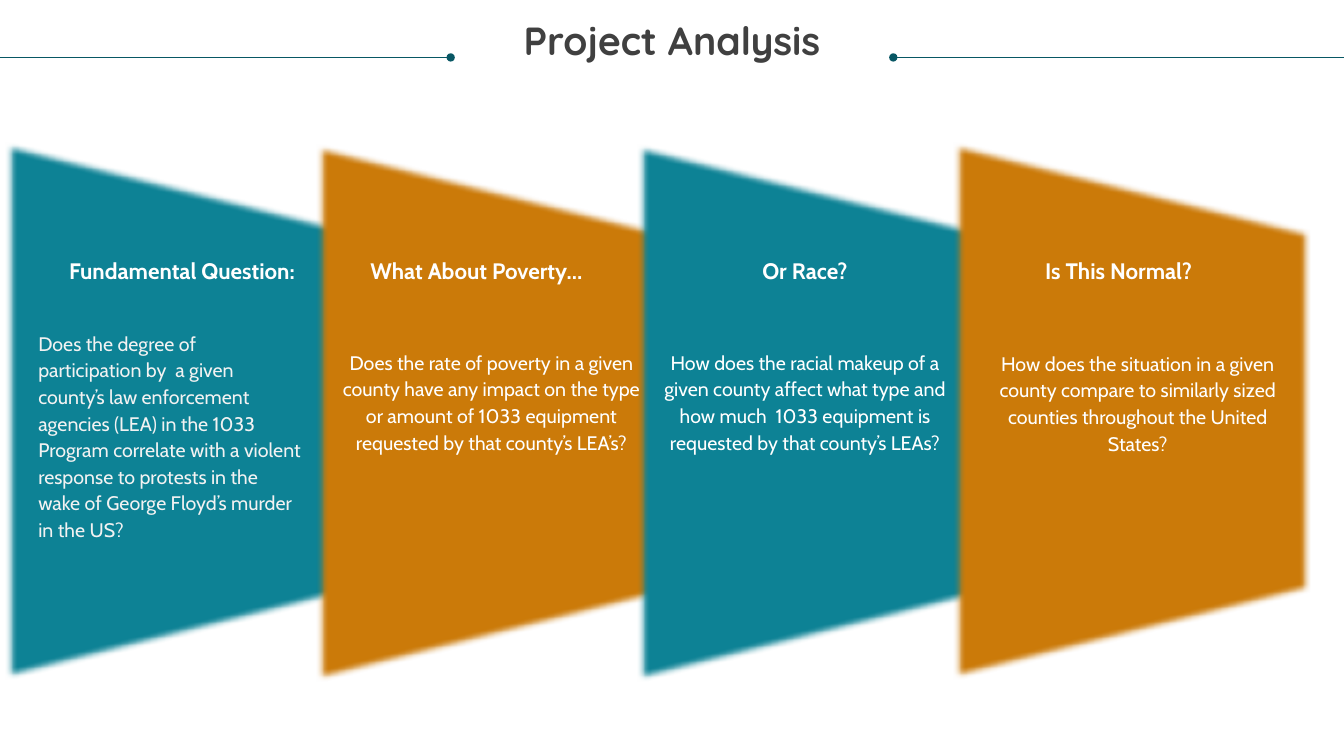
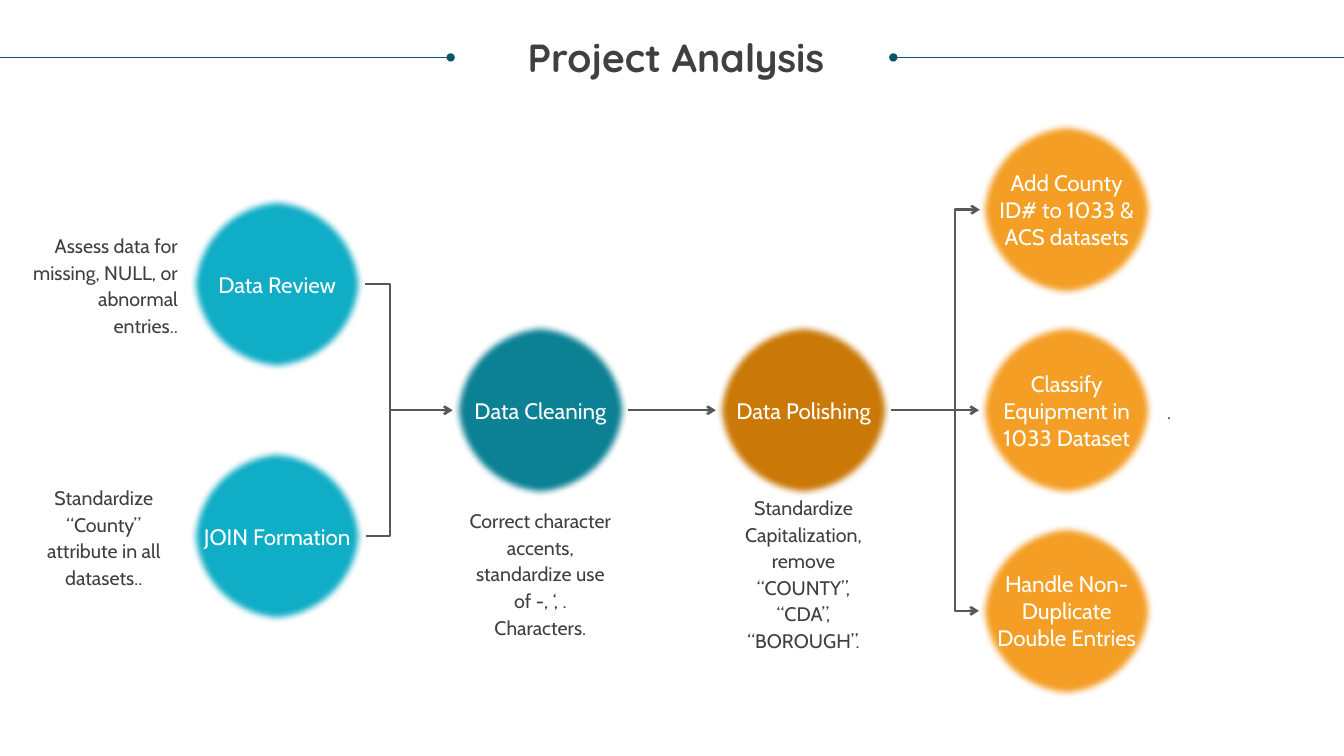
from dataclasses import dataclass

from lxml import etree
from pptx import Presentation
from pptx.dml.color import RGBColor
from pptx.enum.shapes import MSO_CONNECTOR, MSO_SHAPE
from pptx.enum.text import MSO_ANCHOR, MSO_AUTO_SIZE, PP_ALIGN
from pptx.oxml.ns import qn
from pptx.util import Inches, Pt

STRAIGHT, ELBOW = MSO_CONNECTOR.STRAIGHT, MSO_CONNECTOR.ELBOW
TRAPEZOID, OVAL = MSO_SHAPE.TRAPEZOID, MSO_SHAPE.OVAL
LEFT, CENTER, RIGHT = PP_ALIGN.LEFT, PP_ALIGN.CENTER, PP_ALIGN.RIGHT
TOP, MIDDLE = MSO_ANCHOR.TOP, MSO_ANCHOR.MIDDLE

TEAL = RGBColor(0x0D, 0x82, 0x95)
DARK_TEAL = RGBColor(0x08, 0x57, 0x64)
CYAN = RGBColor(0x11, 0xAE, 0xC7)
BROWN = RGBColor(0xCB, 0x7A, 0x09)
ORANGE = RGBColor(0xF5, 0x9F, 0x26)
GRAY = RGBColor(0x58, 0x58, 0x58)
INK = RGBColor(0x40, 0x40, 0x40)
WHITE = RGBColor(0xFF, 0xFF, 0xFF)
OFF_WHITE = RGBColor(0xF2, 0xF2, 0xF2)

TITLE_FONT, BODY_FONT = "Quicksand", "Cabin"
SLIDE_WIDTH, SLIDE_HEIGHT = 13.33, 7.5
SOFT_EDGE = Pt(5)

# Panels on the questions slide
PANEL_LENGTH, PANEL_DEPTH = 5.38, 3.54
HEADING_TOP, HEADING_WIDTH, HEADING_HEIGHT = 2.55, 2.37, 0.27

# Grid of the process slide
DIAMETER = 1.74
RADIUS = DIAMETER / 2
COLUMNS = [2.75 + 2.61 * i for i in range(4)]
MIDDLE_ROW = 4.07
SOURCE_ROWS = [MIDDLE_ROW - 1.25, MIDDLE_ROW + 1.25]
RESULT_ROWS = [MIDDLE_ROW + 1.99 * i for i in (-1, 0, 1)]
LABEL_WIDTH, LABEL_HEIGHT = 1.5, 0.81
CAPTION_WIDTH, CAPTION_HEIGHT = 1.47, 1.31
BRACKET_DEPTH, BRACKET_OFFSET = 0.25, 0.01


@dataclass
class Panel:
    left: float
    center_y: float
    color: RGBColor
    heading: str
    heading_left: float
    question: str
    question_left: float
    question_top: float
    question_width: float = 3.03
    question_height: float = 1.04
    alignment: PP_ALIGN = CENTER
    question_color: RGBColor = WHITE


@dataclass
class Step:
    center_x: float
    center_y: float
    color: RGBColor
    label: str


@dataclass
class Caption:
    center_x: float
    center_y: float
    text: str
    alignment: PP_ALIGN = CENTER


PANELS = [
    Panel(0.05, 4.07, TEAL, "Fundamental Question:", 0.62,
          "Does the degree of participation by  a given county’s law enforcement "
          "agencies (LEA) in the 1033 Program correlate with a violent response to "
          "protests in the wake of George Floyd’s murder in the US?",
          0.38, 3.26, 2.63, 2.11, LEFT, OFF_WHITE),
    Panel(3.14, 4.09, BROWN, "What About Poverty…", 3.54,
          "Does the rate of poverty in a given county have any impact on the type "
          "or amount of 1033 equipment requested by that county’s LEA’s?",
          3.36, 3.45),
    Panel(6.32, 4.09, TEAL, "Or Race?", 6.8,
          "How does the racial makeup of a given county affect what type and how "
          "much  1033 equipment is requested by that county’s LEAs?",
          6.47, 3.45),
    Panel(9.46, 4.07, BROWN, "Is This Normal?", 9.91,
          "How does the situation in a given county compare to similarly sized "
          "counties throughout the United States?",
          9.77, 3.46),
]

STEPS = [
    Step(COLUMNS[0], SOURCE_ROWS[0], CYAN, "Data Review"),
    Step(COLUMNS[0], SOURCE_ROWS[1], CYAN, "JOIN Formation"),
    Step(COLUMNS[1], MIDDLE_ROW, TEAL, "Data Cleaning"),
    Step(COLUMNS[2], MIDDLE_ROW, BROWN, "Data Polishing"),
    Step(COLUMNS[3], RESULT_ROWS[0], ORANGE, "Add County ID# to 1033 & ACS datasets"),
    Step(COLUMNS[3], RESULT_ROWS[1], ORANGE, "Classify Equipment in 1033 Dataset"),
    Step(COLUMNS[3], RESULT_ROWS[2], ORANGE, "Handle Non-Duplicate Double Entries"),
]

CAPTIONS = [
    Caption(1.03, SOURCE_ROWS[0],
            "Assess data for missing, NULL, or abnormal entries..", RIGHT),
    Caption(1.03, SOURCE_ROWS[1], "Standardize “County” attribute in all datasets.."),
    Caption(COLUMNS[1], 5.68,
            "Correct character accents, standardize use of -, ‘, . Characters."),
    Caption(COLUMNS[2], 5.68,
            "Standardize Capitalization, remove “COUNTY”, “CDA”, “BOROUGH”."),
    Caption(12.31, MIDDLE_ROW, ".", LEFT),
]


def format_text(shape, text: str, font_name: str, size: float, color: RGBColor,
                alignment=CENTER, anchor=TOP, bold=False, line_spacing=None) -> None:
    frame = shape.text_frame
    frame.word_wrap = True
    frame.auto_size = MSO_AUTO_SIZE.NONE
    frame.vertical_anchor = anchor
    frame.margin_left = frame.margin_right = frame.margin_top = frame.margin_bottom = 0
    paragraph = frame.paragraphs[0]
    paragraph.text = text
    paragraph.alignment = alignment
    paragraph.space_before = Pt(0)
    if line_spacing is not None:
        paragraph.line_spacing = line_spacing
    font = paragraph.font
    font.name, font.size, font.bold = font_name, Pt(size), bold
    font.color.rgb = color


def add_text(slide, left: float, top: float, width: float, height: float,
             text: str, size: float, color: RGBColor, **options) -> None:
    shape = slide.shapes.add_textbox(Inches(left), Inches(top),
                                     Inches(width), Inches(height))
    format_text(shape, text, BODY_FONT, size, color, **options)


def add_soft_shape(slide, kind, center_x: float, center_y: float,
                   width: float, height: float, color: RGBColor):
    shape = slide.shapes.add_shape(kind, Inches(center_x - width / 2),
                                   Inches(center_y - height / 2),
                                   Inches(width), Inches(height))
    shape.fill.solid()
    shape.fill.fore_color.rgb = color
    shape.line.fill.background()
    shape.shadow.inherit = False
    effects = shape._element.spPr.find(qn("a:effectLst"))
    etree.SubElement(effects, qn("a:softEdge"), rad=str(int(SOFT_EDGE)))
    return shape


def add_line(slide, start: tuple[float, float], end: tuple[float, float],
             color: RGBColor, width: float, kind=STRAIGHT,
             head: str = "", tail: str = ""):
    connector = slide.shapes.add_connector(kind, *map(Inches, start + end))
    connector.line.color.rgb = color
    connector.line.width = Pt(width)
    properties = connector._element.spPr
    line = properties.find(qn("a:ln"))
    for tag, style in (("a:headEnd", head), ("a:tailEnd", tail)):
        if style:
            etree.SubElement(line, qn(tag), type=style)
    etree.SubElement(properties, qn("a:effectLst"))
    return connector


def add_bracket(slide, x: float, rows: list[float], direction: int, end_style: str = "") -> None:
    """Join the first and last row by an elbow that bulges left (-1) or right (1)."""
    connector = add_line(slide, (x, rows[0]), (x + direction * BRACKET_OFFSET, rows[-1]),
                         GRAY, 1.75, ELBOW, head=end_style, tail=end_style)
    geometry = connector._element.spPr.find(qn("a:prstGeom"))
    adjustments = geometry.find(qn("a:avLst"))
    if adjustments is None:
        adjustments = etree.SubElement(geometry, qn("a:avLst"))
    bulge = round(BRACKET_DEPTH / BRACKET_OFFSET * 100000)
    etree.SubElement(adjustments, qn("a:gd"), name="adj1", fmla=f"val {bulge}")


def add_titled_slide(presentation, title_left: float, title_top: float):
    slide = presentation.slides.add_slide(presentation.slide_layouts[5])
    title = slide.shapes.title
    title.left, title.top = Inches(title_left), Inches(title_top)
    title.width, title.height = Inches(12.83), Inches(0.85)
    format_text(title, "Project Analysis", TITLE_FONT, 28, INK,
                bold=True, line_spacing=0.9)
    # Rules on both sides of the title
    add_line(slide, (0, 0.57), (4.47, 0.57), DARK_TEAL, 0.5, tail="oval")
    add_line(slide, (8.86, 0.57), (SLIDE_WIDTH, 0.57), DARK_TEAL, 0.5, head="oval")
    return slide


def build_questions_slide(presentation) -> None:
    slide = add_titled_slide(presentation, 0.25, 0.21)
    # Panels, each overlapping the one before
    for panel in PANELS:
        shape = add_soft_shape(slide, TRAPEZOID, panel.left + PANEL_DEPTH / 2,
                               panel.center_y, PANEL_LENGTH, PANEL_DEPTH, panel.color)
        shape.rotation = 90
    # Headings and questions
    for panel in PANELS:
        add_text(slide, panel.heading_left, HEADING_TOP, HEADING_WIDTH, HEADING_HEIGHT,
                 panel.heading, 16, WHITE, bold=True)
        add_text(slide, panel.question_left, panel.question_top, panel.question_width,
                 panel.question_height, panel.question, 14, panel.question_color,
                 alignment=panel.alignment, line_spacing=Pt(19))


def build_process_slide(presentation) -> None:
    slide = add_titled_slide(presentation, 0.29, 0.38)
    # Circles
    for step in STEPS:
        add_soft_shape(slide, OVAL, step.center_x, step.center_y,
                       DIAMETER, DIAMETER, step.color)
    # Brackets and arrows
    sources_edge = COLUMNS[0] + RADIUS
    add_bracket(slide, sources_edge, SOURCE_ROWS, 1)
    add_bracket(slide, COLUMNS[3] - RADIUS + BRACKET_OFFSET, RESULT_ROWS, -1, "arrow")
    arrow_starts = [sources_edge + BRACKET_DEPTH, COLUMNS[1] + RADIUS, COLUMNS[2] + RADIUS]
    for start, target in zip(arrow_starts, COLUMNS[1:]):
        add_line(slide, (start, MIDDLE_ROW), (target - RADIUS, MIDDLE_ROW),
                 GRAY, 1.75, tail="arrow")
    # Labels and captions
    for step in STEPS:
        add_text(slide, step.center_x - LABEL_WIDTH / 2, step.center_y - LABEL_HEIGHT / 2,
                 LABEL_WIDTH, LABEL_HEIGHT, step.label, 16, WHITE, anchor=MIDDLE)
    for caption in CAPTIONS:
        add_text(slide, caption.center_x - CAPTION_WIDTH / 2,
                 caption.center_y - CAPTION_HEIGHT / 2, CAPTION_WIDTH, CAPTION_HEIGHT,
                 caption.text, 14, INK, alignment=caption.alignment,
                 anchor=MIDDLE, line_spacing=Pt(19))


def main() -> None:
    presentation = Presentation()
    presentation.slide_width = Inches(SLIDE_WIDTH)
    presentation.slide_height = Inches(SLIDE_HEIGHT)
    build_questions_slide(presentation)
    build_process_slide(presentation)
    presentation.save("out.pptx")


if __name__ == "__main__":
    main()
